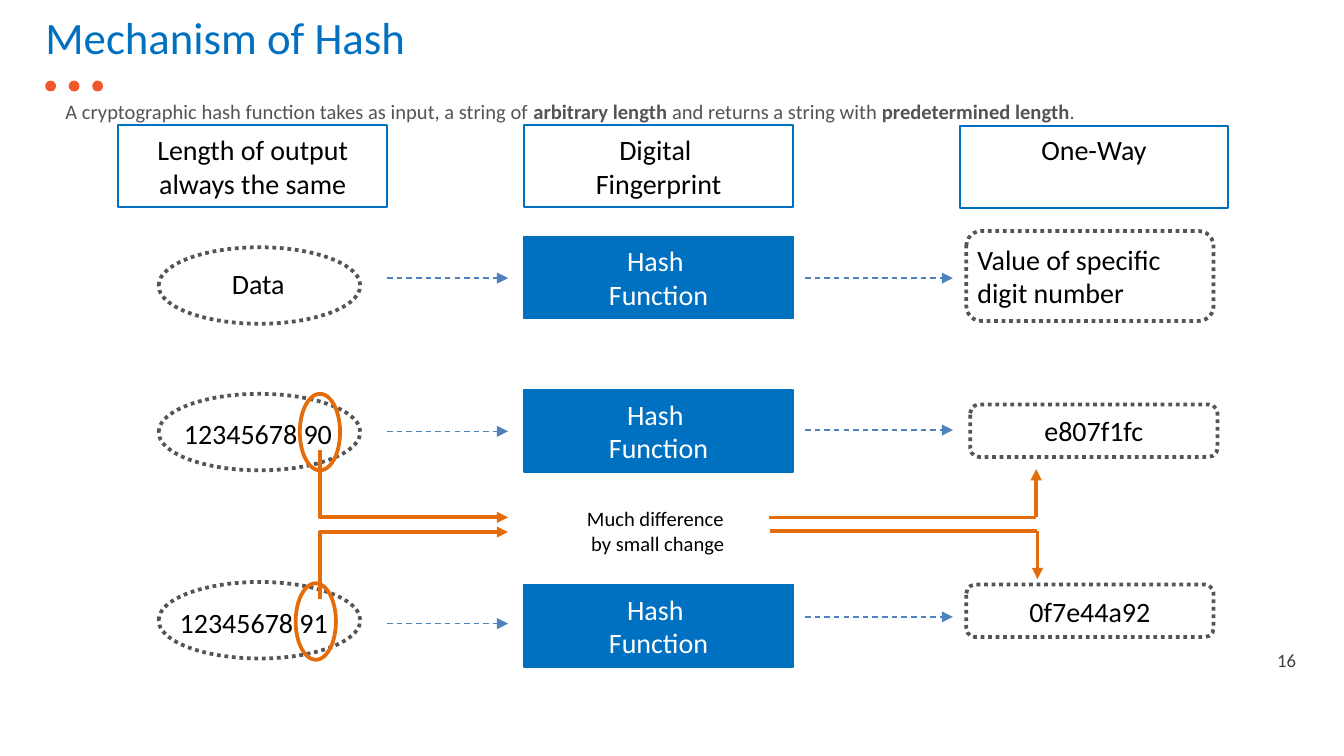
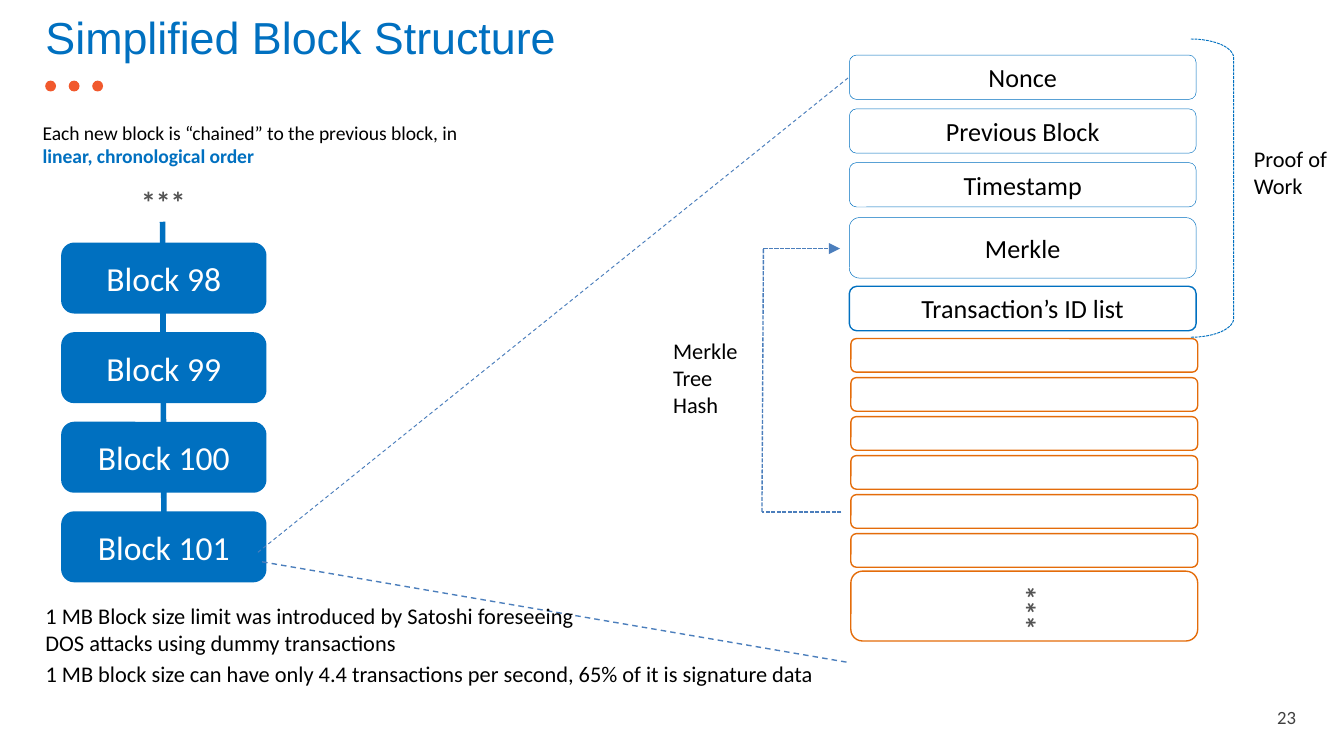
from dataclasses import dataclass
from typing import Optional, Sequence, Union

from lxml import etree
from pptx import Presentation
from pptx.dml.color import RGBColor
from pptx.enum.dml import MSO_LINE
from pptx.enum.shapes import MSO_CONNECTOR, MSO_SHAPE
from pptx.enum.text import MSO_ANCHOR, PP_ALIGN
from pptx.oxml.ns import qn
from pptx.util import Pt

RECT, ROUND = MSO_SHAPE.RECTANGLE, MSO_SHAPE.ROUNDED_RECTANGLE
OVAL, BRACKET = MSO_SHAPE.OVAL, MSO_SHAPE.RIGHT_BRACKET
STRAIGHT, ELBOW = MSO_CONNECTOR.STRAIGHT, MSO_CONNECTOR.ELBOW
DASH, SHORT_DASH, DOTS = MSO_LINE.DASH, MSO_LINE.SQUARE_DOT, MSO_LINE.ROUND_DOT
LEFT, CENTER, RIGHT = PP_ALIGN.LEFT, PP_ALIGN.CENTER, PP_ALIGN.RIGHT
TOP, MIDDLE = MSO_ANCHOR.TOP, MSO_ANCHOR.MIDDLE

BLUE, ORANGE, RED = "0070C0", "E46C0A", "F1592D"
STEEL, STEEL_DARK = "4F81BD", "4B7EBC"
GREY, DARK, BLACK, WHITE = "545454", "404040", "000000", "FFFFFF"


@dataclass(frozen=True)
class Box:
    left: float
    top: float
    width: float
    height: float


@dataclass(frozen=True)
class Stroke:
    color: str
    width: float
    dash: Optional[MSO_LINE] = None


@dataclass(frozen=True)
class Style:
    size: float
    color: str = BLACK
    align: PP_ALIGN = LEFT
    anchor: MSO_ANCHOR = TOP
    bold: bool = False
    font: str = "Calibri"
    inset: Optional[float] = None


@dataclass(frozen=True)
class Span:
    text: str
    bold: bool = False


@dataclass(frozen=True)
class HashRow:
    """One line of the hash diagram: input, function, result."""
    oval_top: float
    label: str
    label_box: Box
    hash_top: float
    left_arrow: float
    right_arrow: float
    result: str
    result_box: Box
    result_align: PP_ALIGN = CENTER


@dataclass(frozen=True)
class Field:
    name: str
    top: float
    height: float = 23.8
    line: float = 0.25


Point = tuple[float, float]
Paragraph = Union[str, Sequence[Span]]

CELL = Style(15, align=CENTER, anchor=MIDDLE, inset=3.6)
LABEL = Style(15, align=CENTER, inset=3.6)
STARS = Style(16, GREY, CENTER, bold=True, inset=3.6)
NOTE = Style(12)
FRAME = Stroke(BLUE, 1)
DOTTED = Stroke(GREY, 2, DOTS)
FLOW = Stroke(STEEL, 0.75, DASH)
CHANGE = Stroke(ORANGE, 2)


def rgb(color: str) -> RGBColor:
    return RGBColor.from_string(color)


def set_stroke(line, stroke: Stroke) -> None:
    line.color.rgb = rgb(stroke.color)
    line.width = Pt(stroke.width)
    if stroke.dash is not None:
        line.dash_style = stroke.dash


def write_para(para, content: Paragraph, style: Style) -> None:
    para.alignment = style.align
    para.font.size = Pt(style.size)
    para.font.name = style.font
    para.font.color.rgb = rgb(style.color)
    if isinstance(content, str):
        para.font.bold = style.bold
        for number, text in enumerate(content.split("\n")):
            if number:
                para.add_line_break()
            para.add_run().text = text
        return
    for piece in content:
        span = para.add_run()
        span.text = piece.text
        span.font.bold = piece.bold


def write(shape, content: Paragraph, style: Style) -> None:
    frame = shape.text_frame
    frame.word_wrap = True
    frame.vertical_anchor = style.anchor
    if style.inset is not None:
        frame.margin_left = frame.margin_right = Pt(style.inset)
        frame.margin_top = frame.margin_bottom = Pt(style.inset)
    write_para(frame.paragraphs[0], content, style)


def place(box: Box) -> list[Pt]:
    return [Pt(box.left), Pt(box.top), Pt(box.width), Pt(box.height)]


def add_text(page, box: Box, content: Paragraph, style: Style):
    shape = page.shapes.add_textbox(*place(box))
    write(shape, content, style)
    return shape


def add_box(page, kind: MSO_SHAPE, box: Box, fill: Optional[str] = None,
            stroke: Optional[Stroke] = None, text: str = "", style: Style = CELL):
    shape = page.shapes.add_shape(kind, *place(box))
    shape.shadow.inherit = False
    if fill:
        shape.fill.solid()
        shape.fill.fore_color.rgb = rgb(fill)
    else:
        shape.fill.background()
    if stroke:
        set_stroke(shape.line, stroke)
    else:
        shape.line.fill.background()
    if text:
        write(shape, text, style)
    return shape


def add_line(page, start: Point, end: Point, stroke: Stroke,
             arrow: bool = False, kind: MSO_CONNECTOR = STRAIGHT):
    line = page.shapes.add_connector(kind, *(Pt(value) for value in (*start, *end)))
    set_stroke(line.line, stroke)
    properties = line._element.spPr
    if arrow:
        outline = properties.find(qn("a:ln"))
        etree.SubElement(outline, qn("a:tailEnd"), type="triangle")
    etree.SubElement(properties, qn("a:effectLst"))
    return line


def add_route(page, points: Sequence[Point], stroke: Stroke) -> None:
    """Straight legs through the points, with an arrowhead on the last."""
    legs = list(zip(points, points[1:]))
    for number, (start, end) in enumerate(legs, 1):
        add_line(page, start, end, stroke, arrow=number == len(legs))


def add_corner(page, start: Point, end: Point, stroke: Stroke) -> None:
    """One-bend arrow that leaves vertically and arrives horizontally."""
    (x1, y1), (x2, y2) = start, end
    middle_x, middle_y = (x1 + x2) / 2, (y1 + y2) / 2
    half_width, half_height = abs(y2 - y1) / 2, abs(x2 - x1) / 2
    line = add_line(page, (middle_x - half_width, middle_y - half_height),
                    (middle_x + half_width, middle_y + half_height), stroke, True, ELBOW)
    properties = line._element.spPr
    properties.find(qn("a:prstGeom")).set("prst", "bentConnector2")
    transform = properties.find(qn("a:xfrm"))
    going_down = y2 > y1
    transform.set("rot", str((270 if going_down else 90) * 60000))
    transform.set("flipH", "1")
    if not going_down:
        transform.set("flipV", "1")


def start_page(deck, title: str, title_font: str, number: str, number_top: float):
    page = deck.slides.add_slide(deck.slide_layouts[6])
    for index in range(3):
        add_box(page, OVAL, Box(24.2 + 12.6 * index, 43.2, 5.8, 5.8), RED)
    add_text(page, Box(17.3, 1.8, 687, 36), title, Style(24, BLUE, font=title_font))
    add_text(page, Box(664.6, number_top, 36.7, 22.3), number, Style(10, DARK, RIGHT))
    return page


def build_hash_page(deck) -> None:
    page = start_page(deck, "Mechanism of Hash", "Calibri", "16", 344.2)
    add_text(page, Box(28, 49.7, 673, 21), [
        Span("A cryptographic hash function takes as input, a string of "),
        Span("arbitrary length ", True),
        Span("and returns a string with "),
        Span("predetermined length", True),
        Span("."),
    ], Style(11, GREY))

    # Column headings
    headings = [(63.4, 67, "Length of output always the same"),
                (280.8, 67, "Digital \nFingerprint"),
                (514.1, 67.7, "One-Way")]
    for left, top, text in headings:
        style = Style(15, align=CENTER, inset=3.6) if text == "One-Way" else CELL
        add_box(page, RECT, Box(left, top, 144, 44), None, FRAME, text, style)

    # Input, hash function and result of each row
    rows = [
        HashRow(132.5, "Data", Box(95.8, 139, 85, 25.2), 126.7, 149, 149,
                "Value of specific digit number", Box(517.7, 123.8, 132.5, 48.2), LEFT),
        HashRow(211, "12345678 90", Box(90, 219.6, 96.5, 25.2), 208.8, 231.1, 230.4,
                "e807f1fc", Box(519.8, 216.7, 132.5, 28.1)),
        HashRow(311.8, "12345678 91", Box(87.8, 321.1, 96.5, 25.2), 313.2, 334.1, 330.5,
                "0f7e44a92", Box(517.7, 313.2, 132.5, 28.1)),
    ]
    white_cell = Style(15, WHITE, CENTER, MIDDLE, inset=3.6)
    for row in rows:
        add_box(page, OVAL, Box(85, row.oval_top, 108, 41), WHITE, DOTTED)
        add_text(page, row.label_box, row.label, LABEL)
        add_line(page, (207.4, row.left_arrow), (272.2, row.left_arrow), FLOW, True)
        add_box(page, RECT, Box(280.8, row.hash_top, 144, 44), BLUE, FRAME,
                "Hash \nFunction", white_cell)
        add_line(page, (431.3, row.right_arrow), (510.5, row.right_arrow), FLOW, True)
        add_box(page, ROUND, row.result_box, WHITE, DOTTED, row.result,
                Style(15, align=row.result_align, anchor=MIDDLE, inset=3.6))

    # Small change in the input, large change in the result
    for left, top in [(160.6, 211), (158.4, 312.5)]:
        add_box(page, OVAL, Box(left, top, 21.6, 41), None, CHANGE)
    add_corner(page, (171.4, 241.2), (272.2, 277.2), CHANGE)
    add_corner(page, (171.4, 321.1), (272.2, 285.1), CHANGE)
    add_text(page, Box(281.5, 267.8, 141.8, 33.8), "Much difference \nby small change",
             Style(11, align=CENTER, inset=3.6))
    for left, right, top, tip in [(411.8, 555.1, 277.2, 251.3), (412.6, 555.8, 284.4, 310.3)]:
        add_route(page, [(left, top), (right, top), (right, tip)], CHANGE)


def build_block_page(deck) -> None:
    page = start_page(deck, "Simplified Block Structure", "Arial", "23", 374.4)

    # Chain of blocks
    add_line(page, (87.8, 275), (87.1, 118.8), Stroke(BLUE, 3))
    for index, number in enumerate(range(98, 102)):
        add_box(page, ROUND, Box(33.8, 131 + 48 * index, 108, 36), BLUE, Stroke(BLUE, 2),
                f"Block {number}", Style(18, WHITE, CENTER, MIDDLE))
    add_text(page, Box(60.5, 95, 54, 26.6), "***", STARS)

    # Zoom lines from the last block to its contents
    add_line(page, (138.2, 295.9), (454.3, 41.8), Stroke(STEEL_DARK, 0.5, DASH))
    add_line(page, (140.4, 301), (455, 355), Stroke(STEEL_DARK, 0.75, DASH))

    # Header fields
    fields = [Field("Nonce", 29.5), Field("Previous Block", 58.3), Field("Timestamp", 87.1),
              Field("Merkle", 116.6, height=32.4),
              Field("Transaction’s ID list", 153.4, line=0.75)]
    for field in fields:
        add_box(page, ROUND, Box(455, field.top, 185.8, field.height), None,
                Stroke(BLUE, field.line), field.name, Style(14, align=CENTER, anchor=MIDDLE))

    # Transactions
    slots = [(181.4 + 20.9 * index, 18) for index in range(6)] + [(306, 37.4)]
    for top, height in slots:
        add_box(page, ROUND, Box(455.8, top, 185.8, height), None, Stroke(ORANGE, 0.75))
    add_text(page, Box(527.8, 312.5, 54, 26.6), "***", STARS).rotation = 270

    # Merkle tree hash and proof of work
    add_route(page, [(450.7, 274.3), (408.2, 274.3), (409, 133.2), (450, 133.2)],
              Stroke(STEEL_DARK, 0.75, SHORT_DASH))
    add_text(page, Box(353.5, 177.1, 54, 51), "Merkle Tree Hash", NOTE)
    bracket = add_box(page, BRACKET, Box(637.9, 20.9, 23, 159.8), None,
                      Stroke(BLUE, 0.5, SHORT_DASH))
    bracket.adjustments[0] = 0.44
    add_text(page, Box(664.6, 74.2, 54, 36), "Proof of Work", NOTE)

    # Notes
    intro = add_text(page, Box(15.8, 61.2, 285.8, 33.8),
                     "Each new block is “chained” to the previous block, in", Style(10.5))
    write_para(intro.text_frame.add_paragraph(), "linear, chronological order",
               Style(10.5, BLUE, bold=True))
    add_text(page, Box(17.3, 319, 313.9, 36),
             "1 MB Block size limit was introduced by Satoshi foreseeing "
             "DOS attacks using dummy transactions", NOTE)
    add_text(page, Box(17.3, 349.9, 534.2, 21.6),
             "1 MB block size can have only 4.4 transactions per second, "
             "65% of it is signature data", NOTE)


def main() -> None:
    deck = Presentation()
    deck.slide_width, deck.slide_height = Pt(720), Pt(405)
    build_hash_page(deck)
    build_block_page(deck)
    deck.save("out.pptx")


if __name__ == "__main__":
    main()
